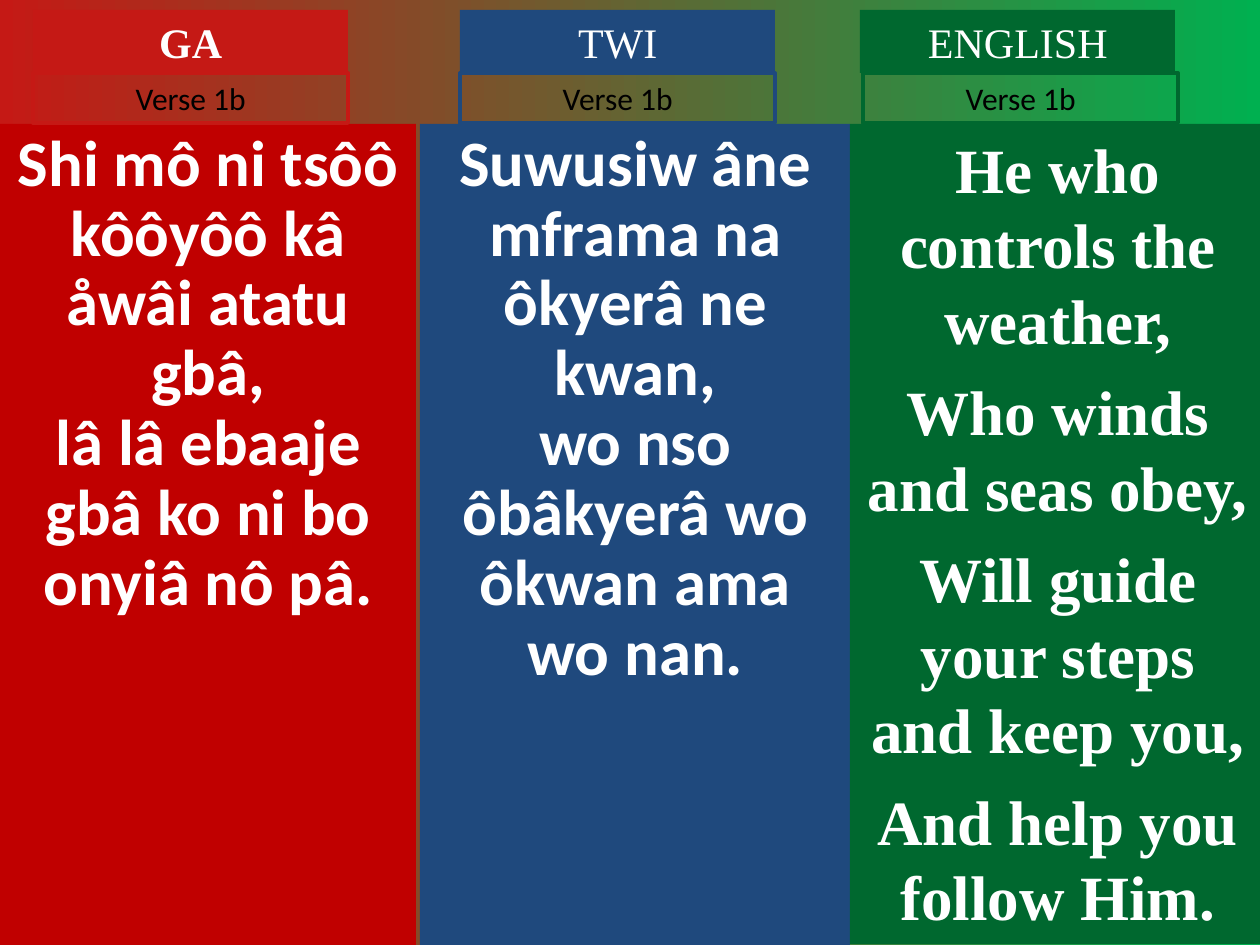
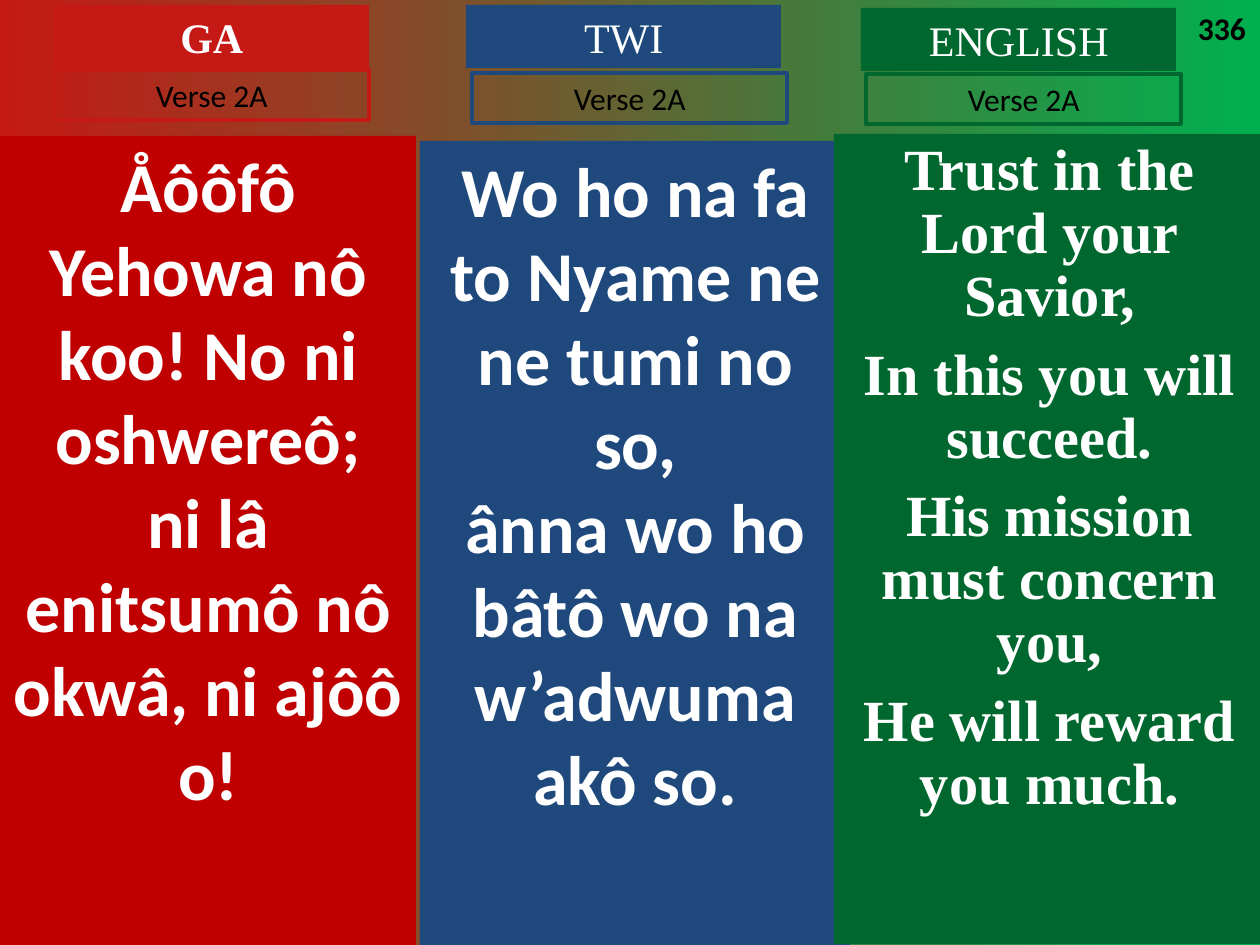
from dataclasses import dataclass

import pptx
import pptx.dml.color
import pptx.enum.shapes
import pptx.enum.text
import pptx.util

PX_PER_INCH = 126
RED, GREEN = "C51915", "00B050"
WHITE, BLACK = "FFFFFF", "000000"
SANS, SERIF = "Calibri", "Times New Roman"
LABEL_W, LABEL_H, TAG_H = 315, 63, 50


@dataclass(frozen=True)
class Language:
    name: str
    panel_color: str
    label_color: str
    font: str
    name_bold: bool = False
    space_before: int = 0


@dataclass(frozen=True)
class Column:
    """One language on one slide; boxes are in px."""
    language: Language
    panel: tuple[int, int, int, int]
    label_at: tuple[int, int]
    tag_at: tuple[int, int]
    size: float
    lines: tuple[str, ...]
    line_spacing: float = 1.0


@dataclass(frozen=True)
class Verse:
    tag: str
    columns: tuple[Column, ...]
    hymn_number: str = ""


GA = Language("GA", "C00000", RED, SANS, name_bold=True)
TWI = Language("TWI", "1F497D", "1F497D", SANS)
ENGLISH = Language("ENGLISH", "00682F", "00682F", SERIF, space_before=9)

VERSES = (
    Verse("Verse 1b", (
        Column(GA, (0, 124, 416, 821), (33, 10), (33, 73), 37,
               ("Shi mô ni tsôô kôôyôô kâ åwâi atatu gbâ,",
                "lâ lâ ebaaje gbâ ko ni bo onyiâ nô pâ."), 0.9),
        Column(TWI, (420, 124, 430, 821), (460, 10), (460, 73), 37,
               ("Suwusiw âne mframa na ôkyerâ ne kwan,",
                "wo nso ôbâkyerâ wo ôkwan ama wo nan."), 0.9),
        Column(ENGLISH, (850, 124, 415, 820), (860, 10), (863, 73), 36,
               ("He who controls the weather,", "Who winds and seas obey,",
                "Will guide your steps and keep you,", "And help you follow Him.")),
    )),
    Verse("Verse 2A", (
        Column(GA, (0, 136, 416, 809), (54, 5), (54, 70), 40,
               ("Åôôfô Yehowa nô koo! No ni oshwereô;",
                "ni lâ enitsumô nô okwâ, ni ajôô o!")),
        Column(TWI, (420, 141, 430, 804), (466, 5), (472, 73), 40,
               ("Wo ho na fa to Nyame ne ne tumi no so,",
                "ânna wo ho bâtô wo na w’adwuma akô so.")),
        Column(ENGLISH, (834, 134, 431, 810), (861, 8), (866, 74), 33.3,
               ("Trust in the Lord your Savior,", "In this you will succeed.",
                "His mission must concern you,", "He will reward you much."), 0.9),
    ), "336"),
)


def px(n: int) -> int:
    return round(n * 914400 / PX_PER_INCH)


def rgb(value: str) -> pptx.dml.color.RGBColor:
    return pptx.dml.color.RGBColor.from_string(value)


def write(sp, *lines: str, font: str = SANS, size: float = 18, color: str = BLACK,
          bold: bool = False, align=pptx.enum.text.PP_ALIGN.CENTER,
          line_spacing: float = 1.0, space_before: int = 0, margin_left: int = 13) -> None:
    tf = sp.text_frame
    tf.word_wrap = True
    tf.vertical_anchor = pptx.enum.text.MSO_ANCHOR.TOP
    tf.margin_left = px(margin_left)
    for i, line in enumerate(lines):
        p = tf.add_paragraph() if i else tf.paragraphs[0]
        p.alignment = align
        p.line_spacing = line_spacing
        p.space_before = pptx.util.Pt(space_before if i else 0)
        r = p.add_run()
        r.text = line
        r.font.name = font
        r.font.size = pptx.util.Pt(size)
        r.font.bold = bold
        r.font.color.rgb = rgb(color)


def add_box(slide, left: int, top: int, width: int, height: int,
            fill: str = "", line: str = ""):
    sp = slide.shapes.add_shape(pptx.enum.shapes.MSO_SHAPE.RECTANGLE,
                                px(left), px(top), px(width), px(height))
    sp.shadow.inherit = False
    if fill:
        sp.fill.solid()
        sp.fill.fore_color.rgb = rgb(fill)
    else:
        sp.fill.background()
    if line:
        sp.line.color.rgb = rgb(line)
        sp.line.width = pptx.util.Pt(2.25)
    else:
        sp.line.fill.background()
    return sp


def paint_background(slide) -> None:
    fill = slide.background.fill
    fill.gradient()
    fill.gradient_angle = 0
    for stop, color in zip(fill.gradient_stops, (RED, GREEN)):
        stop.color.rgb = rgb(color)


def add_column(slide, column: Column, tag: str) -> None:
    lang = column.language
    # Lyrics panel
    panel = add_box(slide, *column.panel, fill=lang.panel_color)
    write(panel, *column.lines, font=lang.font, size=column.size, color=WHITE, bold=True,
          line_spacing=column.line_spacing, space_before=lang.space_before)
    # Language name and verse tag
    label = add_box(slide, *column.label_at, LABEL_W, LABEL_H, fill=lang.label_color)
    write(label, lang.name, font=SERIF, size=24, color=WHITE, bold=lang.name_bold)
    tag_box = add_box(slide, *column.tag_at, LABEL_W, TAG_H, line=lang.label_color)
    write(tag_box, tag)


def add_verse(prs, verse: Verse) -> None:
    slide = prs.slides.add_slide(prs.slide_layouts[6])
    paint_background(slide)
    for column in verse.columns:
        add_column(slide, column, verse.tag)
    # Hymn number in the corner
    if verse.hymn_number:
        sp = slide.shapes.add_textbox(px(1178), px(3), px(84), px(88))
        write(sp, verse.hymn_number, bold=True, margin_left=20,
              align=pptx.enum.text.PP_ALIGN.LEFT)


def main() -> None:
    prs = pptx.Presentation()
    prs.slide_width, prs.slide_height = px(1260), px(945)
    for verse in VERSES:
        add_verse(prs, verse)
    prs.save("out.pptx")


if __name__ == "__main__":
    main()
